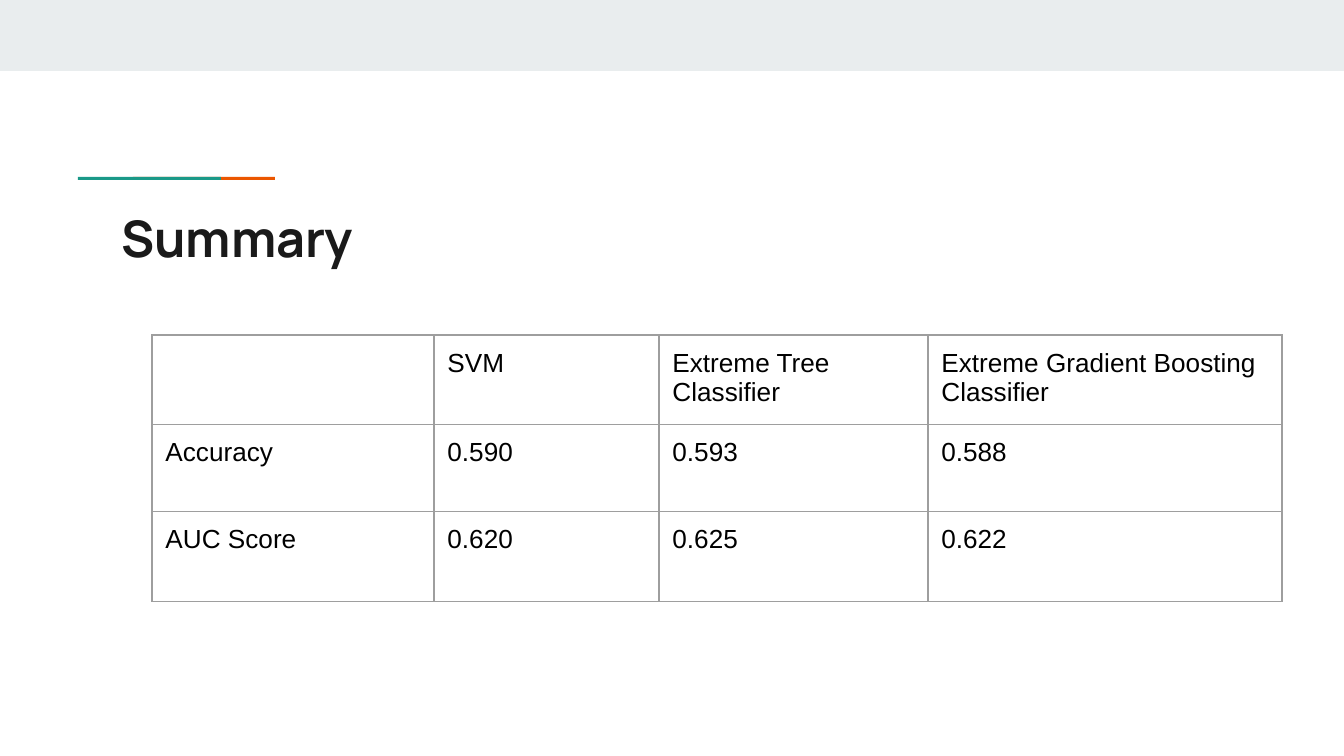
from lxml import etree
from pptx import Presentation
from pptx import util as u
from pptx.dml.color import RGBColor
from pptx.enum import shapes, text
from pptx.oxml.ns import qn

SCALE = 914400 / 134.4
COLS = [282, 225, 269, 354]
ROWS = [85, 87, 90]
SCORES = [
    ["", "SVM", "Extreme Tree Classifier", "Extreme Gradient Boosting Classifier"],
    ["Accuracy", "0.590", "0.593", "0.588"],
    ["AUC Score", "0.620", "0.625", "0.622"],
]


def px(n):
    return u.Emu(round(n * SCALE))


def color(code):
    return RGBColor.from_string(code)


def bar(slide, x, y, w, h, fill):
    shape = slide.shapes.add_shape(shapes.MSO_SHAPE.RECTANGLE, px(x), px(y), px(w), px(h))
    shape.shadow.inherit = False
    shape.fill.solid()
    shape.fill.fore_color.rgb = color(fill)
    shape.line.fill.background()


def write(frame, words, size=14, font="Arial", ink="000000", bold=False):
    frame.word_wrap = True
    run = frame.paragraphs[0].add_run()
    run.text = words
    run.font.size = u.Pt(size)
    run.font.name = font
    run.font.bold = bold
    run.font.color.rgb = color(ink)


def title(slide, words, x, y, w, h):
    frame = slide.shapes.add_textbox(px(x), px(y), px(w), px(h)).text_frame
    frame.margin_left = frame.margin_right = u.Inches(0.1)
    frame.margin_top = frame.margin_bottom = u.Inches(0.1)
    frame.vertical_anchor = text.MSO_ANCHOR.TOP
    write(frame, words, size=27, font="Manrope", ink="1A1A1A", bold=True)


def border(cell, ink, width):
    props = cell._tc.get_or_add_tcPr()
    for side in ("a:lnL", "a:lnR", "a:lnT", "a:lnB"):
        line = etree.SubElement(props, qn(side), w=str(u.Pt(width)))
        fill = etree.SubElement(line, qn("a:solidFill"))
        etree.SubElement(fill, qn("a:srgbClr"), val=ink)


def table(slide, data, x, y):
    frame = slide.shapes.add_table(
        len(ROWS), len(COLS), px(x), px(y), px(sum(COLS)), px(sum(ROWS)))
    grid = frame.table
    grid.first_row = grid.horz_banding = False
    for col, width in zip(grid.columns, COLS):
        col.width = px(width)
    for row, height, line in zip(grid.rows, ROWS, data):
        row.height = px(height)
        for cell, words in zip(row.cells, line):
            cell.margin_left = cell.margin_right = u.Inches(0.1)
            cell.margin_top = cell.margin_bottom = u.Inches(0.1)
            border(cell, "9E9E9E", 0.75)
            cell.fill.background()
            if words:
                write(cell.text_frame, words)


def main():
    deck = Presentation()
    deck.slide_width, deck.slide_height = px(1344), px(756)
    slide = deck.slides.add_slide(deck.slide_layouts[6])
    bar(slide, 0, 0, 1344, 71, "E9EDEE")
    bar(slide, 133, 177, 142, 3, "EB5600")
    bar(slide, 78, 177, 143, 3, "1A9988")
    title(slide, "Summary", 108, 194, 1130, 79)
    table(slide, SCORES, 152, 335)
    deck.save("out.pptx")


if __name__ == "__main__":
    main()
